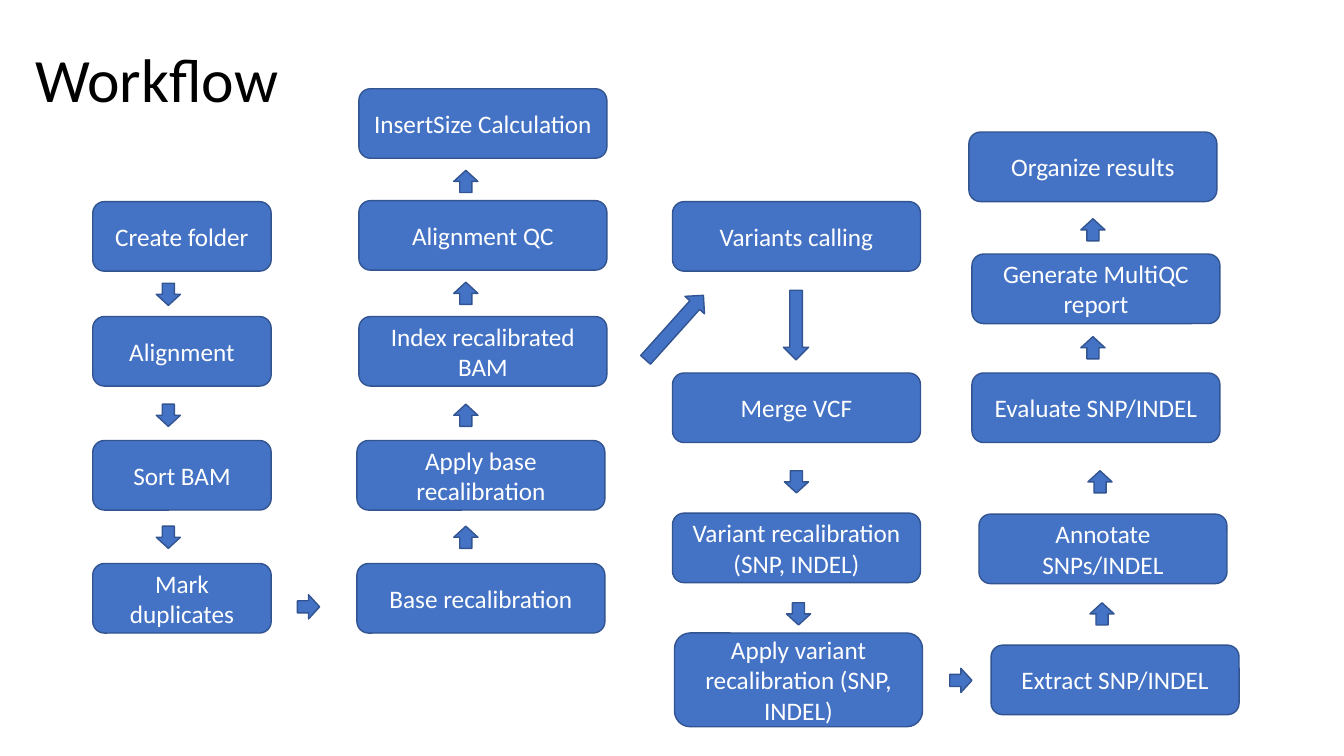
import pptx
import pptx.util
import pptx.dml.color
import pptx.enum.shapes
import pptx.enum.text

# Content: each column has a box width and steps (label, left, top), top to bottom
COLUMNS = [
    (1.77, [("Create folder", 0.92, 2.0), ("Alignment", 0.92, 3.14),
            ("Sort BAM", 0.92, 4.37), ("Mark duplicates", 0.92, 5.59)]),
    (2.46, [("InsertSize Calculation", 3.56, 0.88), ("Alignment QC", 3.56, 1.99),
            ("Index recalibrated BAM", 3.56, 3.14),
            ("Apply base recalibration", 3.54, 4.37), ("Base recalibration", 3.54, 5.59)]),
    (2.46, [("Variants calling", 6.67, 2.0), ("Merge VCF", 6.67, 3.7),
            ("Variant recalibration (SNP, INDEL)", 6.67, 5.09),
            ("Apply variant recalibration (SNP, INDEL)", 6.69, 6.28)]),
    (2.46, [("Organize results", 9.61, 1.31), ("Generate MultiQC report", 9.64, 2.52),
            ("Evaluate SNP/INDEL", 9.64, 3.7), ("Annotate SNPs/INDEL", 9.71, 5.1),
            ("Extract SNP/INDEL", 9.83, 6.4)]),
]
BOX_HEIGHT = 0.69
TALL_BOXES = {"Apply variant recalibration (SNP, INDEL)": 0.93}

# Small arrows: rotation of a down arrow, then (left, top) places
DOWN, UP, RIGHT = 0, 180, 270
SMALL_ARROW = (0.24, 0.22)
SMALL_ARROWS = {
    DOWN: [(1.55, 2.81), (1.55, 4.01), (1.55, 5.22), (7.78, 4.67), (7.8, 5.98)],
    UP: [(4.5, 1.69), (4.5, 2.8), (4.5, 4.01), (4.5, 5.22),
         (10.72, 2.17), (10.72, 3.34), (10.79, 4.67), (10.81, 5.98)],
    RIGHT: [(2.94, 5.91), (9.41, 6.64)],
}
# Long arrows: left, top, width, height, rotation
LONG_ARROWS = [(6.56, 2.82, 0.26, 0.86, 221.9), (7.77, 2.88, 0.25, 0.69, DOWN)]

FILL, OUTLINE, WHITE, BLACK = "4472C4", "325491", "FFFFFF", "000000"
SHAPES = pptx.enum.shapes.MSO_SHAPE
ALIGN = pptx.enum.text.PP_ALIGN


def color(value):
    return pptx.dml.color.RGBColor.from_string(value)


def inches(*lengths):
    return [pptx.util.Inches(length) for length in lengths]


def write(shape, text, size, ink, align):
    frame = shape.text_frame
    frame.text = text
    frame.word_wrap = True
    frame.vertical_anchor = pptx.enum.text.MSO_ANCHOR.MIDDLE
    para = frame.paragraphs[0]
    para.alignment = align
    font = para.runs[0].font
    font.name = "Calibri"
    font.size = pptx.util.Pt(size)
    font.color.rgb = color(ink)
    return para


def add_block(kind, left, top, width, height, rotation=0):
    block = page.shapes.add_shape(kind, *inches(left, top, width, height))
    block.rotation = rotation
    block.shadow.inherit = False
    block.fill.solid()
    block.fill.fore_color.rgb = color(FILL)
    block.line.color.rgb = color(OUTLINE)
    block.line.width = pptx.util.Pt(1)
    return block


# Slide
deck = pptx.Presentation()
deck.slide_width, deck.slide_height = inches(13.33, 7.5)
page = deck.slides.add_slide(deck.slide_layouts[6])

# Title
title = page.shapes.add_textbox(*inches(0.25, 0.09, 11.5, 1.45))
write(title, "Workflow", 44, BLACK, ALIGN.LEFT).line_spacing = 0.9

# Steps
for width, steps in COLUMNS:
    for label, left, top in steps:
        height = TALL_BOXES.get(label, BOX_HEIGHT)
        box = add_block(SHAPES.ROUNDED_RECTANGLE, left, top, width, height)
        write(box, label, 18, WHITE, ALIGN.CENTER)

# Arrows
for rotation, places in SMALL_ARROWS.items():
    for left, top in places:
        add_block(SHAPES.DOWN_ARROW, left, top, *SMALL_ARROW, rotation)
for arrow in LONG_ARROWS:
    add_block(SHAPES.DOWN_ARROW, *arrow)

deck.save("out.pptx")
